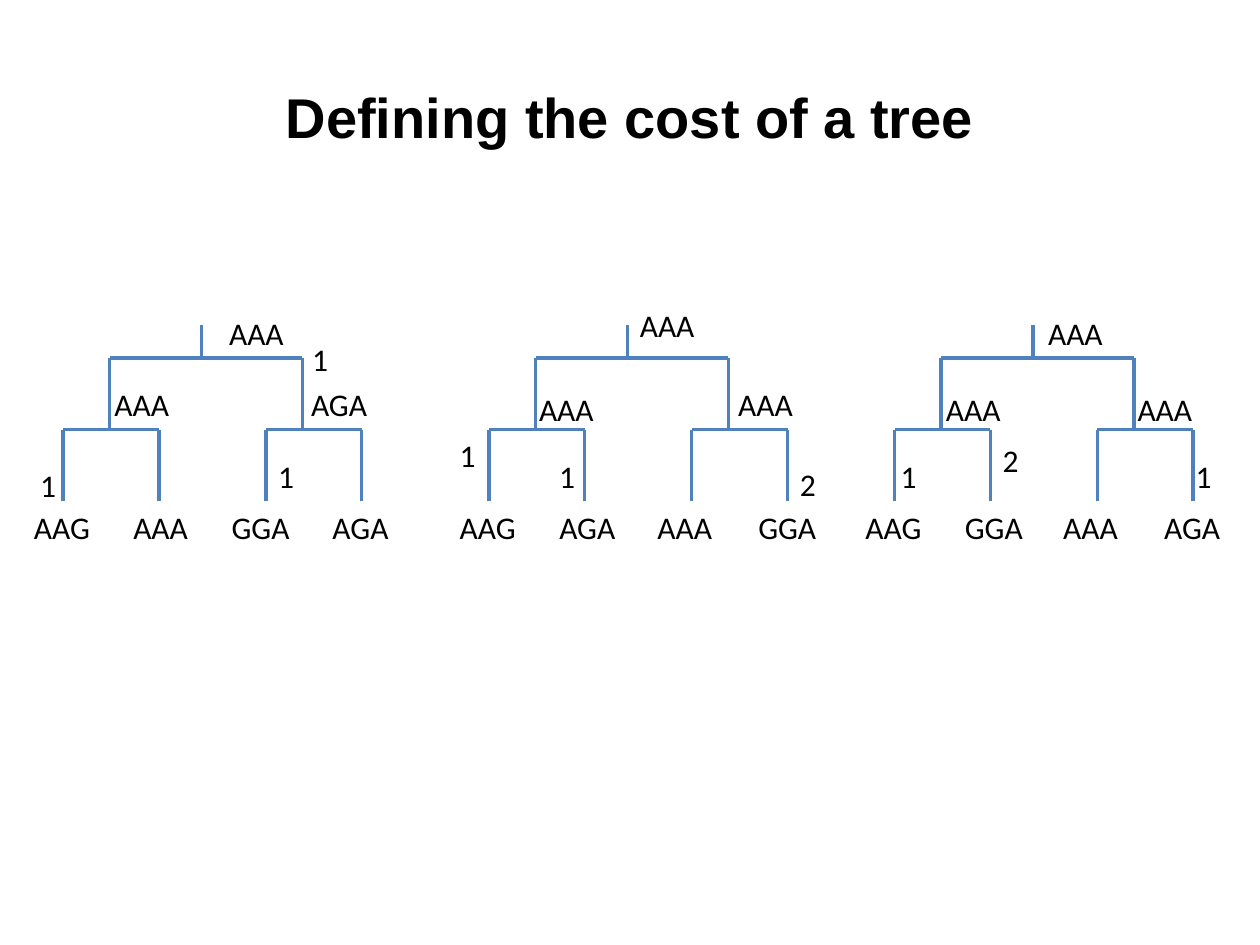
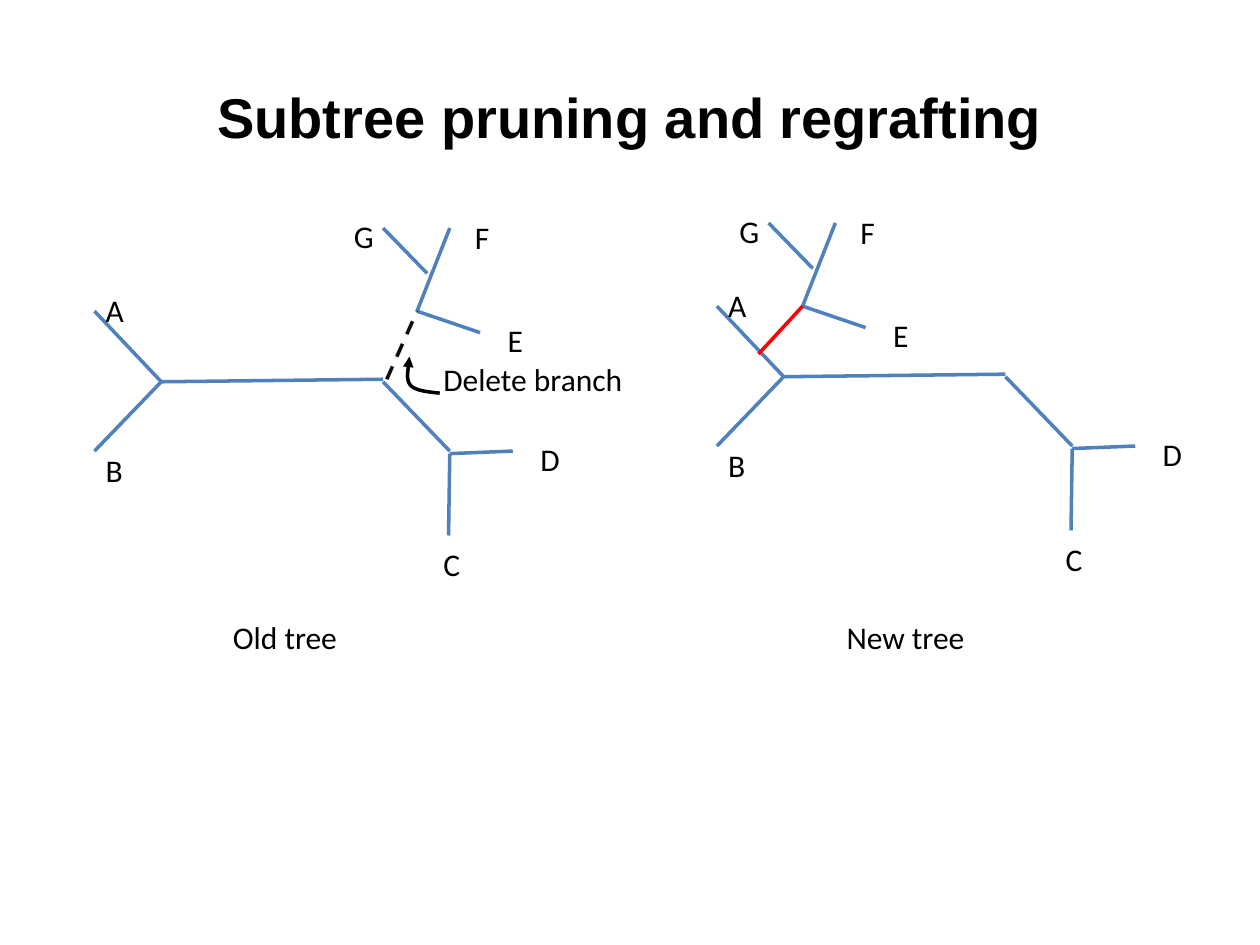
from lxml.etree import SubElement
from pptx import Presentation
from pptx.dml.color import RGBColor
from pptx.enum.dml import MSO_LINE
from pptx.enum.shapes import MSO_CONNECTOR
from pptx.enum.text import MSO_ANCHOR, MSO_AUTO_SIZE, PP_ALIGN
from pptx.oxml.ns import qn
from pptx.util import Pt

EMU_PER_PX = 9144  # 100 px to the inch
BLACK = RGBColor(0x00, 0x00, 0x00)
NEAR_BLACK = RGBColor(0x0D, 0x0D, 0x0D)
BLUE = RGBColor(0x4F, 0x81, 0xBD)
RED = RGBColor(0xFF, 0x00, 0x00)

LABEL_HEIGHT = 40
LABEL_WIDTHS = {
    "AAA": 64, "AAG": 65, "AGA": 65, "GGA": 67, "1": 33, "2": 33,
    "A": 35, "B": 34, "C": 34, "D": 36, "E": 33, "F": 32, "G": 36,
    "Delete branch": 164, "Old tree": 104, "New tree": 115,
}

# Cost trees: left edge, leaf sequences, then (text, left, top) of the other labels
COST_TREES = [
    (50, ["AAG", "AAA", "GGA", "AGA"],
     [("AAA", 81, 301), ("1", 22, 365), ("AGA", 237, 301), ("AAA", 172, 244),
      ("1", 238, 265), ("1", 211, 358)]),
    (388, ["AAG", "AGA", "AAA", "GGA"],
     [("AAA", 418, 305), ("1", 355, 341), ("1", 434, 358), ("AAA", 576, 301),
      ("2", 625, 364), ("AAA", 498, 238)]),
    (710, ["AAG", "GGA", "AAA", "AGA"],
     [("AAA", 741, 305), ("1", 705, 358), ("2", 786, 345), ("AAA", 893, 305),
      ("1", 939, 358), ("AAA", 822, 244)]),
]
LEAF_Y, PAIR_Y, BAR_Y, ROOT_Y = 398, 341, 284, 258
LEAF_LABEL_OFFSETS = [-33, 46, 124, 204]
ROOT_OFFSET = 110

# Unrooted tree: the main part and the subtree that moves
MAIN_BRANCHES = [
    (128, 303, 304, 301), (128, 303, 75, 247), (75, 358, 128, 303),
    (357, 358, 304, 303), (357, 360, 407, 358), (356, 425, 357, 360),
]
MAIN_LABELS = [("A", 74, 226), ("B", 74, 353), ("C", 342, 428), ("D", 419, 344)]
SUBTREE_BRANCHES = [
    (331, 247, 381, 264), (331, 247, 357, 181), (304, 181, 339, 217),
]
SUBTREE_LABELS = [("E", 393, 250), ("F", 367, 168), ("G", 271, 167)]


def px(length):
    return length * EMU_PER_PX


class Deck:
    """Holds the presentation, its style and the current slide."""

    def __init__(self):
        self.presentation = Presentation()
        self.presentation.slide_width = px(1000)
        self.presentation.slide_height = px(750)
        self.slide = None

    def add_slide(self, title):
        layout = self.presentation.slide_layouts[6]
        self.slide = self.presentation.slides.add_slide(layout)
        frame = self.text(title, 50, 30, 900, 125, "Arial", 32, bold=True)
        frame.word_wrap = True
        frame.vertical_anchor = MSO_ANCHOR.MIDDLE
        frame.paragraphs[0].alignment = PP_ALIGN.CENTER

    def text(self, content, left, top, width, height, font, size, bold=False):
        box = self.slide.shapes.add_textbox(px(left), px(top), px(width), px(height))
        run = box.text_frame.paragraphs[0].add_run()
        run.text = content
        run.font.name = font
        run.font.size = Pt(size)
        run.font.bold = bold
        run.font.color.rgb = BLACK
        return box.text_frame

    def label(self, content, left, top):
        frame = self.text(content, left, top, LABEL_WIDTHS[content], LABEL_HEIGHT,
                          "Calibri", 18)
        frame.word_wrap = False
        frame.auto_size = MSO_AUTO_SIZE.SHAPE_TO_FIT_TEXT

    def line(self, x1, y1, x2, y2, color=BLUE, dash=None):
        connector = self.slide.shapes.add_connector(
            MSO_CONNECTOR.STRAIGHT, px(x1), px(y1), px(x2), px(y2))
        connector.line.color.rgb = color
        connector.line.width = Pt(2)
        if dash:
            connector.line.dash_style = dash
        SubElement(connector._element.spPr, qn("a:effectLst"))

    def curved_arrow(self, start, points):
        """Draw cubic curves; every three points are two controls and an end."""
        builder = self.slide.shapes.build_freeform(*start, scale=EMU_PER_PX)
        builder.add_line_segments(points, close=False)
        shape = builder.convert_to_shape()
        shape.shadow.inherit = False
        shape.fill.background()
        shape.line.color.rgb = BLACK
        shape.line.width = Pt(2)
        SubElement(shape.line._get_or_add_ln(), qn("a:tailEnd"), type="triangle")
        outline = next(shape._element.iter(qn("a:path")))
        for index, segment in enumerate(outline.findall(qn("a:lnTo"))):
            if index % 3 == 0:
                curve = SubElement(outline, qn("a:cubicBezTo"))
            curve.append(segment[0])
            outline.remove(segment)

    def fork(self, left, right, bar_y, foot_y):
        self.line(left, foot_y, left, bar_y)
        self.line(right, foot_y, right, bar_y)
        self.line(left, bar_y, right, bar_y)

    def cost_tree(self, left, leaves, labels):
        for leaf, offset in zip(leaves, LEAF_LABEL_OFFSETS):
            self.label(leaf, left + offset, LEAF_Y)
        self.fork(left, left + 76, PAIR_Y, LEAF_Y)
        self.fork(left + 161, left + 237, PAIR_Y, LEAF_Y)
        self.fork(left + 37, left + 190, BAR_Y, PAIR_Y)
        self.line(left + ROOT_OFFSET, BAR_Y, left + ROOT_OFFSET, ROOT_Y)
        for label in labels:
            self.label(*label)

    def tree_part(self, branches, labels, dx=0, dy=0):
        for x1, y1, x2, y2 in branches:
            self.line(x1 + dx, y1 + dy, x2 + dx, y2 + dy)
        for content, left, top in labels:
            self.label(content, left + dx, top + dy)


def add_cost_slide(deck):
    deck.add_slide("Defining the cost of a tree")
    for tree in COST_TREES:
        deck.cost_tree(*tree)


def add_regrafting_slide(deck):
    deck.add_slide("Subtree pruning and regrafting")
    deck.tree_part(MAIN_BRANCHES, MAIN_LABELS)
    deck.tree_part(SUBTREE_BRANCHES, SUBTREE_LABELS)
    deck.line(307, 301, 331, 247, NEAR_BLACK, MSO_LINE.DASH)
    deck.label("Delete branch", 342, 281)
    deck.curved_arrow((349, 312), [(339, 311), (330, 310), (326, 306),
                                   (322, 301), (325, 283), (325, 283)])
    deck.label("Old tree", 175, 486)

    deck.tree_part(MAIN_BRANCHES, MAIN_LABELS, 494, -4)
    deck.tree_part(SUBTREE_BRANCHES, SUBTREE_LABELS, 306, -4)
    deck.line(637, 243, 602, 281, RED)
    deck.label("New tree", 662, 486)


def main():
    deck = Deck()
    add_cost_slide(deck)
    add_regrafting_slide(deck)
    deck.presentation.save("out.pptx")


if __name__ == "__main__":
    main()
